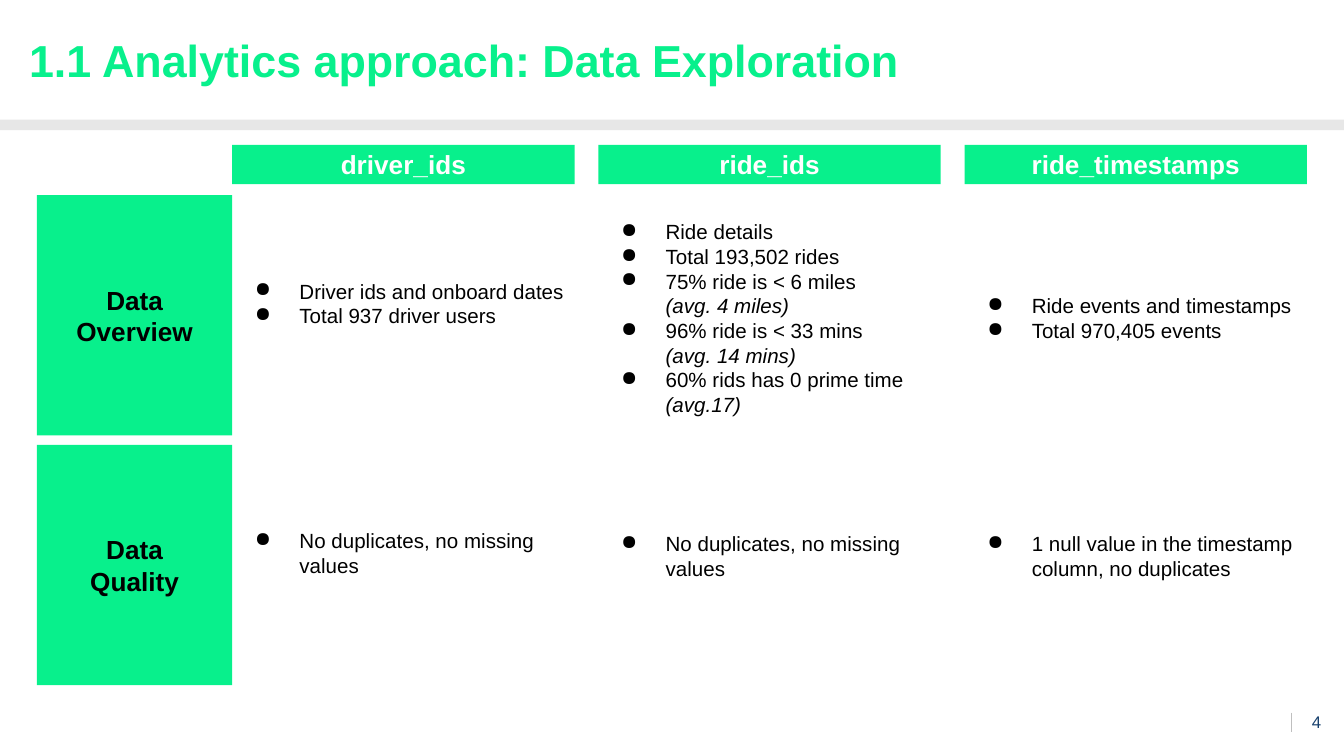
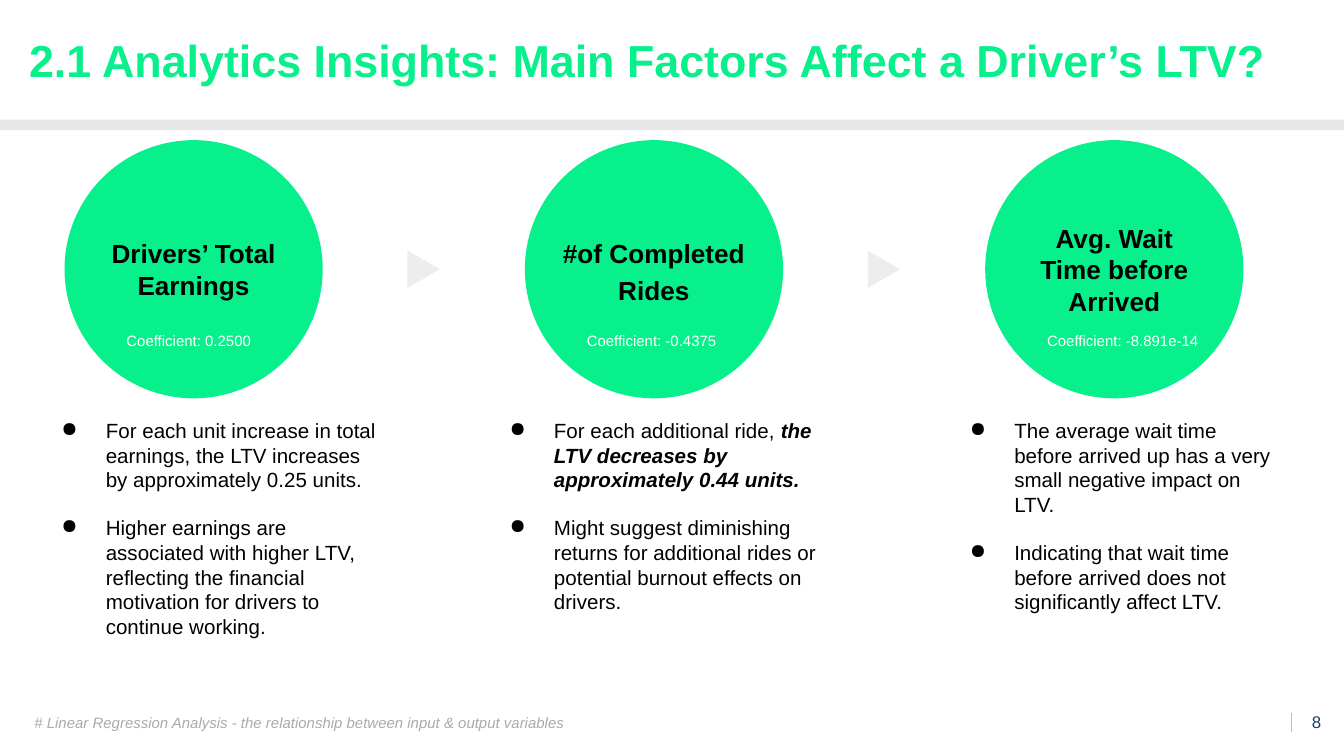
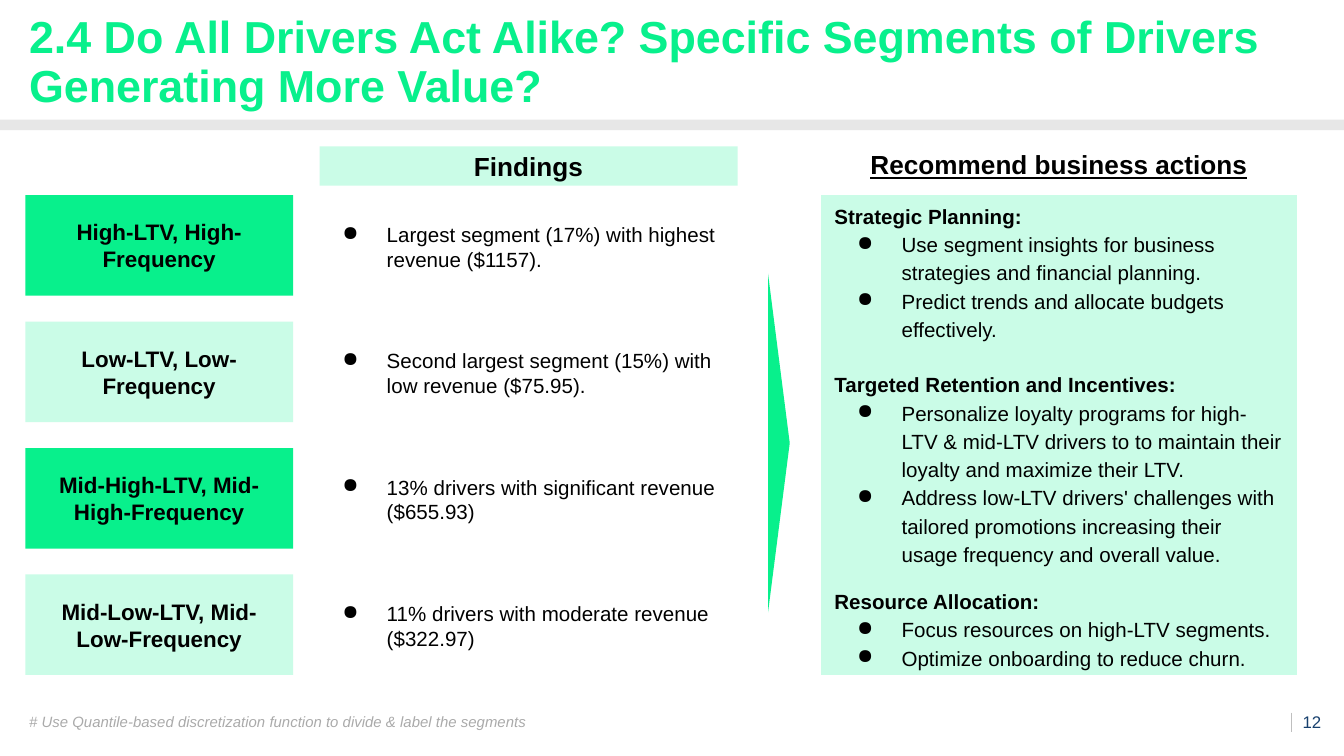
import collections
import dataclasses

import pptx
import pptx.dml.color
import pptx.enum.shapes
import pptx.enum.text
import pptx.oxml.ns
import pptx.util
from lxml import etree

Cm = pptx.util.Cm
Pt = pptx.util.Pt
RGBColor = pptx.dml.color.RGBColor
PRESET = pptx.enum.shapes.MSO_SHAPE
ALIGN = pptx.enum.text.PP_ALIGN
ANCHOR = pptx.enum.text.MSO_ANCHOR

GREEN = RGBColor(0x08, 0xF0, 0x8C)
MINT = RGBColor(0xCA, 0xFC, 0xE7)
BLACK = RGBColor(0x00, 0x00, 0x00)
WHITE = RGBColor(0xFF, 0xFF, 0xFF)
BAND_GREY = RGBColor(0xE7, 0xE7, 0xE7)
ARROW_GREY = RGBColor(0xED, 0xED, 0xED)
RULE_GREY = RGBColor(0xBF, 0xBF, 0xBF)
NOTE_GREY = RGBColor(0xAA, 0xAA, 0xAA)
NAVY = RGBColor(0x17, 0x40, 0x6D)

FONT = "Arial"
PADDING = 0.25
BLANK_LINE = 0.45

Box = collections.namedtuple("Box", "left top width height")


@dataclasses.dataclass
class Line:
    """One paragraph, with an optional stressed ending."""

    text: str
    stressed: str = ""
    stressed_bold: bool = False
    bullet: bool = False
    bold: bool = False
    gap: float = 0


@dataclasses.dataclass
class Style:
    """The look shared by all paragraphs of a text."""

    size: float = 11
    color: RGBColor = BLACK
    bold: bool = False
    italic: bool = False
    underline: bool = False
    align: ALIGN = ALIGN.LEFT
    anchor: ANCHOR = ANCHOR.MIDDLE
    spacing: float = 1.0
    padding: float = PADDING
    tail: float = 0
    indent: float = 0


HEADER = Style(14, bold=True, align=ALIGN.CENTER)


def bullets(*texts):
    """Make plain bullet lines."""
    return [Line(text, bullet=True) for text in texts]


def add_bullet(paragraph):
    """Give a paragraph a black dot and a hanging indent."""
    properties = paragraph._p.get_or_add_pPr()
    properties.set("marL", str(Cm(1.27)))
    properties.set("indent", str(-Cm(0.84)))
    dot_color = etree.SubElement(properties, pptx.oxml.ns.qn("a:buClr"))
    etree.SubElement(dot_color, pptx.oxml.ns.qn("a:srgbClr"), val=str(BLACK))
    etree.SubElement(properties, pptx.oxml.ns.qn("a:buChar"), char="●")


def write(holder, lines, style):
    """Fill a shape or text box with styled lines."""
    frame = holder.text_frame
    frame.word_wrap = True
    frame.vertical_anchor = style.anchor
    frame.margin_left = frame.margin_right = frame.margin_top = Cm(style.padding)
    frame.margin_bottom = Cm(style.padding + style.tail)
    for number, line in enumerate(lines):
        paragraph = frame.add_paragraph() if number else frame.paragraphs[0]
        paragraph.text = line.text
        if line.bullet:
            add_bullet(paragraph)
        elif style.indent:
            paragraph._p.get_or_add_pPr().set("marL", str(Cm(style.indent)))
        paragraph.alignment = style.align
        paragraph.line_spacing = style.spacing
        if line.gap:
            paragraph.space_before = Pt(line.gap)
        if line.stressed:
            paragraph.add_run().text = line.stressed
        for run in paragraph.runs:
            run.font.name = FONT
            run.font.size = Pt(style.size)
            run.font.color.rgb = style.color
            run.font.bold = style.bold or line.bold
            run.font.italic = style.italic
            run.font.underline = style.underline
        if line.stressed:
            paragraph.runs[-1].font.italic = True
            paragraph.runs[-1].font.bold = line.stressed_bold


def add_text(slide, box, lines, style):
    """Place a text box."""
    write(slide.shapes.add_textbox(*map(Cm, box)), lines, style)


def add_block(slide, preset, box, fill, lines=(), style=HEADER, rotation=0):
    """Place a filled, unlined shape with optional text."""
    block = slide.shapes.add_shape(preset, *map(Cm, box))
    block.shadow.inherit = False
    block.fill.solid()
    block.fill.fore_color.rgb = fill
    block.line.fill.background()
    block.rotation = rotation
    if lines:
        write(block, lines, style)


def add_frame(deck, title, page, footnote="", footnote_style=None):
    """Start a slide with its title, band, page number and footnote."""
    slide = deck.slides.add_slide(deck.slide_layouts[6])
    divider = slide.shapes.add_connector(
        pptx.enum.shapes.MSO_CONNECTOR.STRAIGHT, Cm(24.41), Cm(13.47), Cm(24.41), Cm(13.84)
    )
    divider.line.color.rgb = RULE_GREY
    divider.line.width = Pt(0.75)
    etree.SubElement(divider._element.spPr, pptx.oxml.ns.qn("a:effectLst"))
    add_text(slide, Box(23.88, 13.23, 1.09, 0.81), [Line(str(page))],
             Style(9, NAVY, align=ALIGN.RIGHT, padding=0))
    add_block(slide, PRESET.RECTANGLE, Box(0, 2.26, 25.4, 0.2), BAND_GREY)
    add_text(slide, Box(0.3, 0.25, 24.8, 1.9), [Line(title)],
             Style(24, GREEN, bold=True, spacing=0.9))
    if footnote:
        add_text(slide, Box(0.3, 13.26, 22.6, 0.74), [Line(footnote)], footnote_style)
    return slide


def add_data_grid(slide, box, row_names, datasets):
    """Draw dataset columns against the named rows."""
    name_width, column_width, column_step = 3.69, 6.47, 6.92
    header_height, first_row, row_height, row_step = 0.74, 0.95, 4.54, 4.72
    row_tops = [box.top + first_row + row * row_step for row in range(len(row_names))]
    for top, name in zip(row_tops, row_names):
        add_block(slide, PRESET.RECTANGLE, Box(box.left, top, name_width, row_height),
                  GREEN, name)
    for column, (dataset, nudge, cells) in enumerate(datasets):
        left = box.left + name_width + column * column_step
        add_block(slide, PRESET.RECTANGLE, Box(left, box.top, column_width, header_height),
                  GREEN, [Line(dataset)], dataclasses.replace(HEADER, color=WHITE))
        for top, (facts, tail) in zip(row_tops, cells):
            add_text(slide, Box(left, top + nudge, column_width, row_height), facts,
                     Style(padding=0, tail=tail))


def add_factor(slide, box, name, spacing, coefficient, notes, notes_shift, notes_width):
    """Draw one factor circle with its coefficient and notes."""
    add_block(slide, PRESET.OVAL, box, GREEN, [Line(name)],
              dataclasses.replace(HEADER, padding=0, spacing=spacing))
    add_text(slide, Box(box.left + 0.92, box.top + 3.37, 3.56, 0.71),
             [Line(f"Coefficient: {coefficient}")],
             Style(8, WHITE, anchor=ANCHOR.TOP, spacing=1.15))
    add_text(slide, Box(box.left + notes_shift, box.top + 5, notes_width, 5.4), notes,
             Style(anchor=ANCHOR.TOP))


def add_factors(slide, box, factors):
    """Lay out the factors in a row with pointers between them."""
    step, pointer_width, pointer_height = 8.7, 0.71, 0.61
    for position, factor in enumerate(factors):
        left = box.left + position * step
        add_factor(slide, Box(left, box.top, box.height, box.height), *factor)
        if position:
            add_block(slide, PRESET.ISOSCELES_TRIANGLE,
                      Box(left - 2.27, box.top + (box.height - pointer_height) / 2,
                          pointer_width, pointer_height),
                      ARROW_GREY, rotation=90)


def add_segments(slide, box, segments):
    """List the driver segments beside their findings."""
    name_width, findings_shift, findings_width = 5.06, 5.56, 7.9
    first_row, row_height, row_step = 0.92, 1.9, 2.39
    findings_left = box.left + findings_shift
    add_block(slide, PRESET.RECTANGLE, Box(findings_left, box.top, findings_width, 0.74),
              MINT, [Line("Findings")])
    for row, (segment, finding) in enumerate(segments):
        top = box.top + first_row + row * row_step
        add_block(slide, PRESET.RECTANGLE, Box(box.left, top, name_width, row_height),
                  MINT if row % 2 else GREEN, [Line(segment)],
                  dataclasses.replace(HEADER, size=12))
        add_text(slide, Box(findings_left, top + 0.02, findings_width, row_height),
                 bullets(finding), Style(padding=0))


def add_actions(slide, box, actions):
    """Draw the panel of recommended actions and the pointer to it."""
    pointer_length, pointer_depth = 6.4, 0.41
    add_block(slide, PRESET.ISOSCELES_TRIANGLE,
              Box(box.left - 0.8 - pointer_length / 2, box.top + 5.43,
                  pointer_length, pointer_depth),
              GREEN, rotation=90)
    add_text(slide, Box(box.left, box.top, box.width, 0.74),
             [Line("Recommend business actions")],
             dataclasses.replace(HEADER, underline=True))
    add_block(slide, PRESET.RECTANGLE,
              Box(box.left, box.top + 0.95, box.width, box.height - 0.95),
              MINT, actions, Style(spacing=1.15))


def build_exploration(deck):
    """Build the data exploration slide."""
    slide = add_frame(deck, "1.1 Analytics approach: Data Exploration", 4)
    ride_facts = bullets("Ride details", "Total 193,502 rides") + [
        Line("75% ride is < 6 miles \v", "(avg. 4 miles)", bullet=True),
        Line("96% ride is < 33 mins \v", "(avg. 14 mins)", bullet=True),
        Line("60% rids has 0 prime time ", "(avg.17)", bullet=True),
    ]
    no_issues = "No duplicates, no missing values"
    datasets = [
        ("driver_ids", 0, [
            (bullets("Driver ids and onboard dates", "Total 937 driver users"), BLANK_LINE),
            (bullets(no_issues), BLANK_LINE),
        ]),
        ("ride_ids", 0.05, [(ride_facts, 0), (bullets(no_issues), BLANK_LINE)]),
        ("ride_timestamps", 0.05, [
            (bullets("Ride events and timestamps", "Total 970,405 events"), 0),
            (bullets("1 null value in the timestamp column, no duplicates"), BLANK_LINE),
        ]),
    ]
    row_names = [[Line("Data Overview")], [Line("Data"), Line("Quality")]]
    add_data_grid(slide, Box(0.7, 2.74, 24, 10.21), row_names, datasets)


def build_factors(deck):
    """Build the slide on the main LTV factors."""
    slide = add_frame(
        deck, "2.1 Analytics Insights: Main Factors Affect a Driver’s LTV?", 8,
        "# Linear Regression Analysis - the relationship between input & output variables",
        Style(8, NOTE_GREY, italic=True, spacing=1.15, indent=0.1),
    )
    gap = 12.6
    factors = [
        ("Drivers’ Total Earnings", 1.0, "0.2500", [
            Line("For each unit increase in total earnings, the LTV increases by "
                 "approximately 0.25 units.", bullet=True),
            Line("Higher earnings are associated with higher LTV, reflecting the financial "
                 "motivation for drivers to continue working.", bullet=True, gap=gap),
        ], -0.74, 7.06),
        ("#of Completed Rides", 1.15, "-0.4375", [
            Line("For each additional ride, ", "the LTV decreases by approximately 0.44 units.",
                 stressed_bold=True, bullet=True),
            Line("Might suggest diminishing returns for additional rides or potential burnout "
                 "effects on drivers.", bullet=True, gap=gap),
        ], -0.97, 6.81),
        ("Avg. Wait Time before Arrived", 1.0, "-8.891e-14", [
            Line("The average wait time before arrived up has a very small negative impact "
                 "on LTV.", bullet=True),
            Line("Indicating that wait time before arrived does not significantly affect LTV.",
                 bullet=True, gap=gap),
        ], -0.97, 6.81),
    ]
    add_factors(slide, Box(1.22, 2.65, 22.28, 4.88), factors)


def build_segments(deck):
    """Build the slide on driver segments and actions."""
    slide = add_frame(
        deck,
        "2.4 Do All Drivers Act Alike? Specific Segments of Drivers Generating More Value?", 12,
        "# Use Quantile-based discretization function to divide & label the segments",
        Style(8, NOTE_GREY, italic=True),
    )
    segments = [
        ("High-LTV, High-Frequency", "Largest segment (17%) with highest revenue ($1157)."),
        ("Low-LTV, Low-Frequency", "Second largest segment (15%) with low revenue ($75.95)."),
        ("Mid-High-LTV, Mid-High-Frequency", "13% drivers with significant revenue ($655.93)"),
        ("Mid-Low-LTV, Mid-Low-Frequency", "11% drivers with moderate revenue ($322.97)"),
    ]
    actions = [
        Line("Strategic Planning:", bold=True),
        *bullets("Use segment insights for business strategies and financial planning.",
                 "Predict trends and allocate budgets effectively."),
        Line("Targeted Retention and Incentives:", bold=True, gap=14.5),
        *bullets("Personalize loyalty programs for high-LTV & mid-LTV drivers to to maintain "
                 "their loyalty and maximize their LTV.",
                 "Address low-LTV drivers' challenges with tailored promotions increasing "
                 "their usage frequency and overall value."),
        Line("Resource Allocation:", bold=True, gap=10),
        *bullets("Focus resources on high-LTV segments.",
                 "Optimize onboarding to reduce churn."),
    ]
    add_segments(slide, Box(0.48, 2.77, 13.46, 10), segments)
    add_actions(slide, Box(15.52, 2.74, 8.99, 10.02), actions)


def main():
    """Build the deck and save it."""
    deck = pptx.Presentation()
    deck.slide_width, deck.slide_height = Cm(25.4), Cm(14.29)
    build_exploration(deck)
    build_factors(deck)
    build_segments(deck)
    deck.save("out.pptx")


if __name__ == "__main__":
    main()
